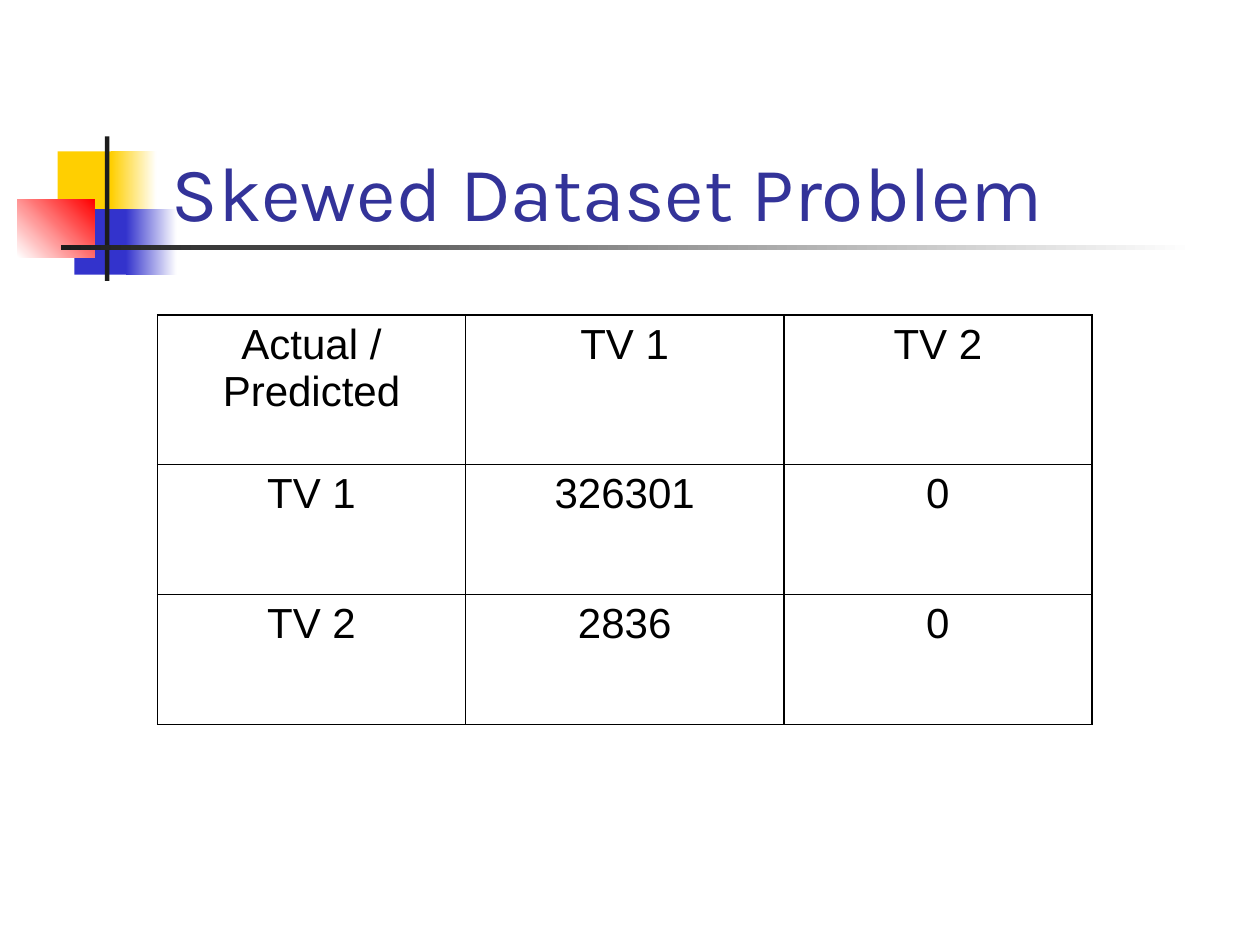
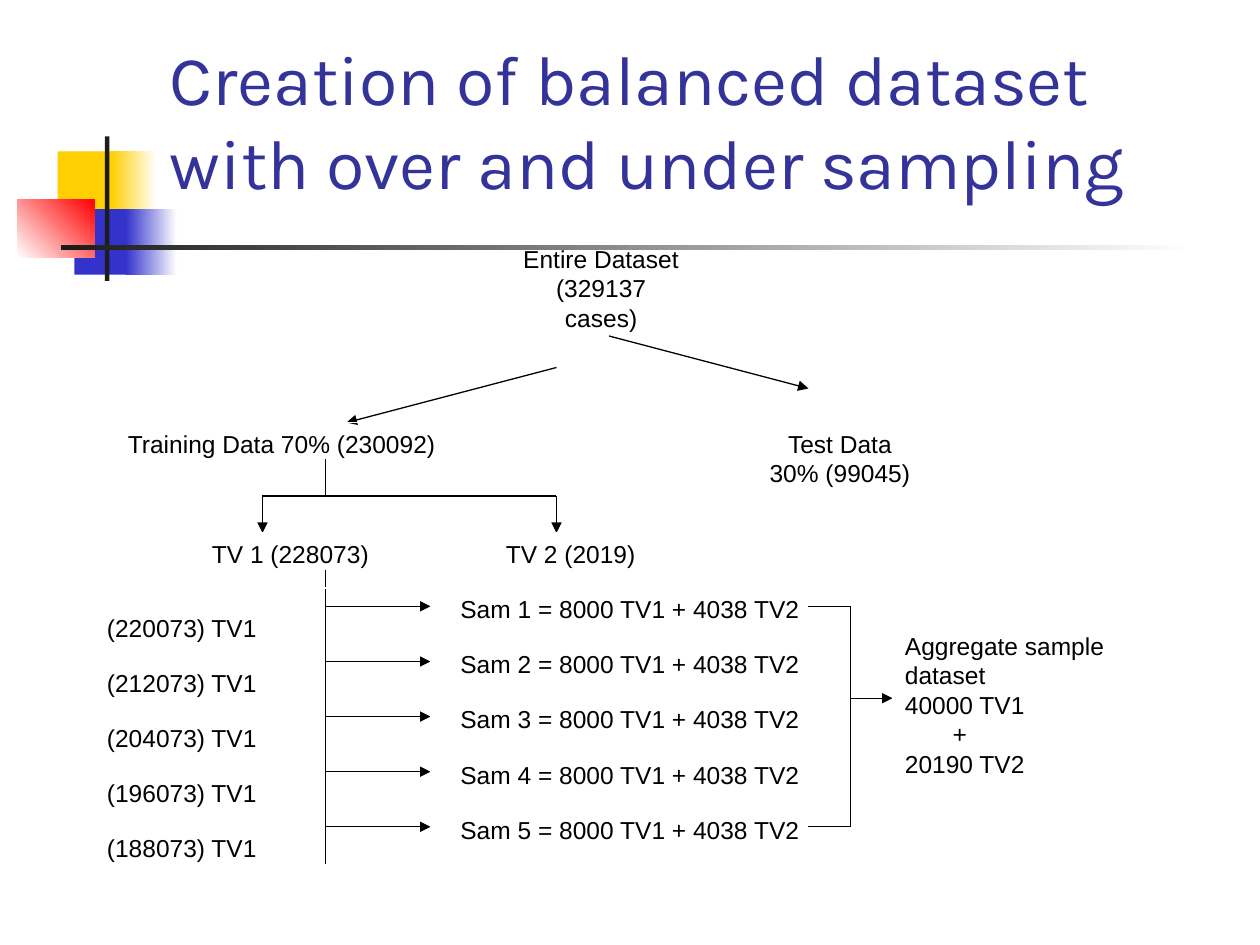
"""Build two slides on a skewed dataset and its balanced resampling."""
import pptx
import pptx.dml.color
import pptx.enum.shapes
import pptx.enum.text
import pptx.oxml
import pptx.oxml.ns
import pptx.util

Pt = pptx.util.Pt
RGBColor = pptx.dml.color.RGBColor
ALIGN = pptx.enum.text.PP_ALIGN
ANCHOR = pptx.enum.text.MSO_ANCHOR

YELLOW = RGBColor(0xFF, 0xCF, 0x01)
BLUE = RGBColor(0x33, 0x33, 0xCC)
RED = RGBColor(0xFF, 0x00, 0x00)
CHARCOAL = RGBColor(0x1C, 0x1C, 0x1C)
TITLE_COLOR = RGBColor(0x33, 0x33, 0x99)
BLACK = RGBColor(0x00, 0x00, 0x00)
WHITE = RGBColor(0xFF, 0xFF, 0xFF)
TITLE_FONT = "Karla"
BODY_FONT = "Arial"

SAMPLE_COUNT = 5
ROW_STEP = 31.5
SAMPLE_TOP = 336
BRANCH_TOP = 346.5
TRUNK_X = 186
BRACKET_X = 486


def xml(tag, **attributes):
    element = pptx.oxml.parse_xml(f'<{tag} {pptx.oxml.ns.nsdecls("a")}/>')
    for name, value in attributes.items():
        element.set(name, value)
    return element


def write_text(frame, lines, size, color=BLACK, font=BODY_FONT, align=ALIGN.LEFT):
    frame.word_wrap = True
    frame.text = "\n".join(lines)
    for para in frame.paragraphs:
        para.alignment = align
        for span in para.runs:
            span.font.size = Pt(size)
            span.font.name = font
            span.font.color.rgb = color


def add_rectangle(slide, left, top, width, height):
    box = slide.shapes.add_shape(pptx.enum.shapes.MSO_SHAPE.RECTANGLE,
                                 Pt(left), Pt(top), Pt(width), Pt(height))
    box.shadow.inherit = False
    return box


def add_block(slide, place, start, end=None, angle=0):
    """Add a borderless block, solid or graded from start to end."""
    block = add_rectangle(slide, *place)
    block.line.fill.background()
    if end is None:
        block.fill.solid()
        block.fill.fore_color.rgb = start
        return
    block.fill.gradient()
    block.fill.gradient_angle = angle
    for stop, color in zip(block.fill.gradient_stops, (start, end)):
        stop.color.rgb = color


def add_emblem(slide):
    add_block(slide, (33, 86.5, 34.5, 37.5), YELLOW)
    add_block(slide, (63.5, 86.5, 26, 37.5), YELLOW, WHITE)
    add_block(slide, (42.5, 119.5, 33, 37.5), BLUE)
    add_block(slide, (72, 119.5, 29, 37.5), BLUE, WHITE)
    add_block(slide, (10, 114, 44, 33), WHITE, RED, 45)
    add_block(slide, (60, 78, 2.5, 82.5), CHARCOAL)
    add_block(slide, (35, 140.25, 648, 2.5), CHARCOAL, WHITE)


def add_title(slide, place, text, size):
    box = slide.shapes.add_textbox(*map(Pt, place))
    box.text_frame.vertical_anchor = ANCHOR.BOTTOM
    write_text(box.text_frame, [text], size, TITLE_COLOR, TITLE_FONT)


def add_slide(deck, title_place, title, title_size):
    slide = deck.slides.add_slide(deck.slide_layouts[6])
    add_emblem(slide)
    add_title(slide, title_place, title, title_size)
    return slide


def add_label(slide, place, *lines, align=ALIGN.LEFT):
    """Add a white-outlined label of the flow diagram."""
    box = add_rectangle(slide, *place)
    box.fill.background()
    box.line.color.rgb = WHITE
    box.line.width = Pt(0.75)
    box.text_frame.vertical_anchor = ANCHOR.TOP
    write_text(box.text_frame, lines, 14, align=align)
    return box


def add_line(slide, x1, y1, x2, y2, arrow=False):
    line = slide.shapes.add_connector(pptx.enum.shapes.MSO_CONNECTOR.STRAIGHT,
                                      Pt(x1), Pt(y1), Pt(x2), Pt(y2))
    line.line.color.rgb = BLACK
    line.line.width = Pt(0.75)
    if arrow:
        line.line._get_or_add_ln().append(xml("a:tailEnd", type="triangle"))
    line._element.spPr.append(xml("a:effectLst"))


def set_borders(cell):
    properties = cell._tc.get_or_add_tcPr()
    for index, side in enumerate(("lnL", "lnR", "lnT", "lnB")):
        border = xml(f"a:{side}", w=str(Pt(1)))
        fill = xml("a:solidFill")
        fill.append(xml("a:srgbClr", val=str(BLACK)))
        border.append(fill)
        properties.insert(index, border)


def add_grid_table(slide, left, top, widths, heights, rows):
    table = slide.shapes.add_table(len(rows), len(widths), Pt(left), Pt(top),
                                   Pt(sum(widths)), Pt(sum(heights))).table
    table.first_row = table.horz_banding = False
    for column, width in zip(table.columns, widths):
        column.width = Pt(width)
    for row, height, values in zip(table.rows, heights, rows):
        row.height = Pt(height)
        for cell, value in zip(row.cells, values):
            write_text(cell.text_frame, [value], 24, align=ALIGN.CENTER)
            cell.fill.background()
            set_borders(cell)


def add_samples(slide):
    """Draw the trunk, the five samples and the bracket that joins them."""
    levels = [BRANCH_TOP + ROW_STEP * index for index in range(SAMPLE_COUNT)]
    add_line(slide, TRUNK_X, 325.5, TRUNK_X, 493.5)
    for index, level in enumerate(levels):
        add_line(slide, TRUNK_X, level, 246, level, arrow=True)
        add_label(slide, (246, SAMPLE_TOP + ROW_STEP * index, 228, ROW_STEP),
                  f"Sam {index + 1} = 8000 TV1 + 4038 TV2", align=ALIGN.CENTER)
        add_label(slide, (54, level, 120, ROW_STEP),
                  f"({228073 - 8000 * (index + 1)}) TV1")
    for level in (levels[0], levels[-1]):
        add_line(slide, 462, level, BRACKET_X, level)
    add_line(slide, BRACKET_X, levels[0], BRACKET_X, levels[-1])
    add_line(slide, BRACKET_X, 399, 510, 399, arrow=True)
    total = add_label(slide, (510, 357, 132, 105), "Aggregate sample dataset",
                      "40000 TV1", "+", "20190 TV2")
    plus = total.text_frame.paragraphs[2]
    plus._p.get_or_add_pPr().set("marL", str(Pt(27.25)))


def add_split(slide):
    """Draw the split of the dataset into training, test and class parts."""
    add_line(slide, 318, 210, 198, 241.5, arrow=True)
    add_label(slide, (66, 241.5, 252, ROW_STEP), "Training Data 70% (230092)")
    add_label(slide, (390, 241.5, 180, 42), "Test Data", "30% (99045)",
              align=ALIGN.CENTER)
    add_line(slide, TRUNK_X, 262.5, TRUNK_X, 283.5)
    add_line(slide, 150, 283.5, 318, 283.5)
    for x in (150, 318):
        add_line(slide, x, 283.5, x, 304.5, arrow=True)
    add_label(slide, (114, 304.5, 120, ROW_STEP), "TV 1 (228073)")
    add_label(slide, (282, 304.5, 108, ROW_STEP), "TV 2 (2019)")


def add_root(slide):
    box = slide.shapes.add_textbox(Pt(288), Pt(144), Pt(111), Pt(41))
    frame = box.text_frame
    frame.vertical_anchor = ANCHOR.MIDDLE
    frame.margin_left = frame.margin_right = Pt(9)
    write_text(frame, ["Entire Dataset", "(329137 cases)"], 14, align=ALIGN.CENTER)
    add_line(slide, 348, 192, 462, 222, arrow=True)


def main():
    deck = pptx.Presentation()
    deck.slide_width, deck.slide_height = Pt(720), Pt(540)

    problem = add_slide(deck, (91, 49, 613.5, 90), "Skewed Dataset Problem", 44)
    add_grid_table(problem, 90, 180, (176, 182, 176), (85.5, 74.25, 74.25),
                   (("Actual / Predicted", "TV 1", "TV 2"),
                    ("TV 1", "326301", "0"),
                    ("TV 2", "2836", "0")))

    balance = add_slide(deck, (90, 30, 612, 90),
                        "Creation of balanced dataset with over and under sampling", 40)
    add_samples(balance)
    add_split(balance)
    add_root(balance)

    deck.save("out.pptx")


main()
